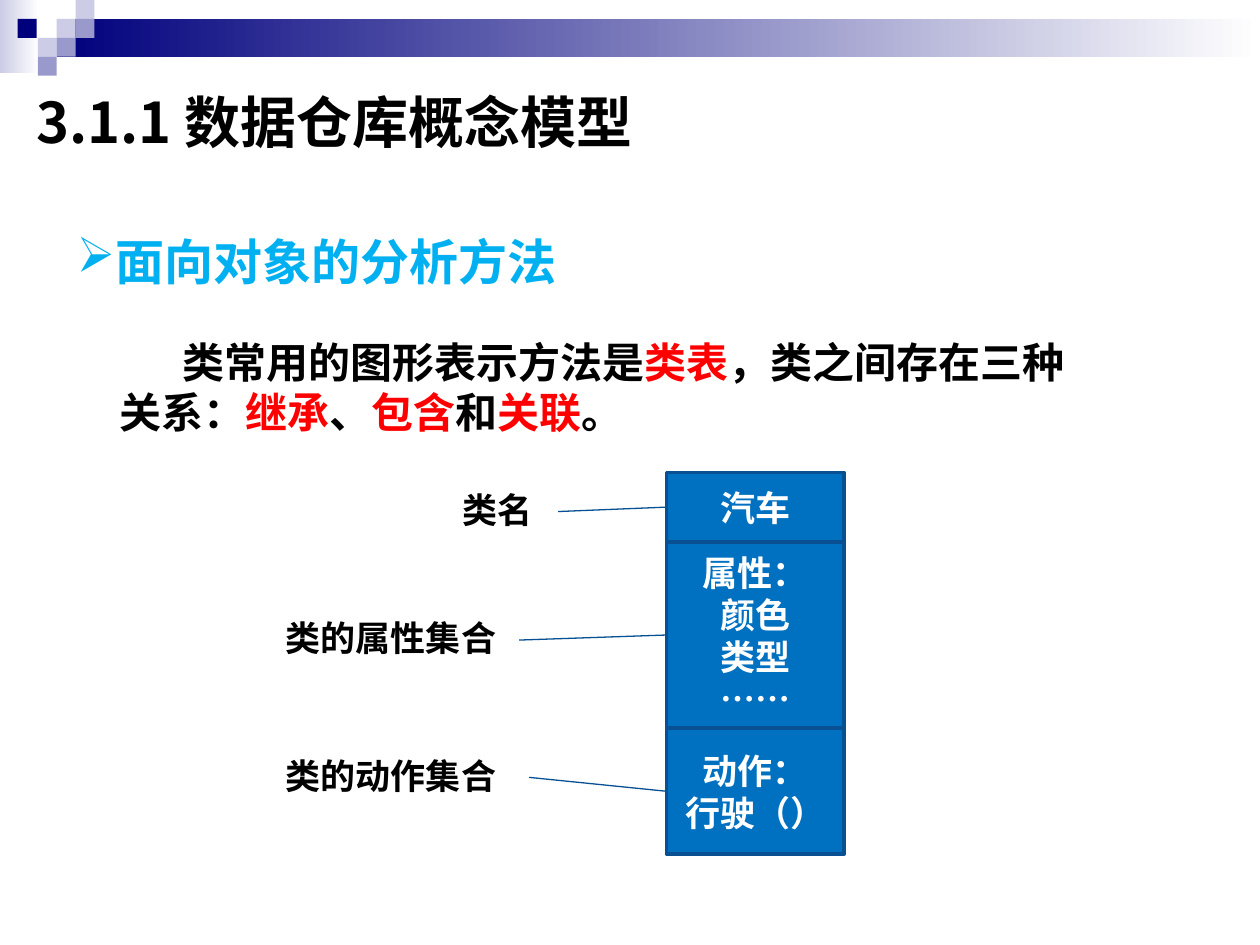
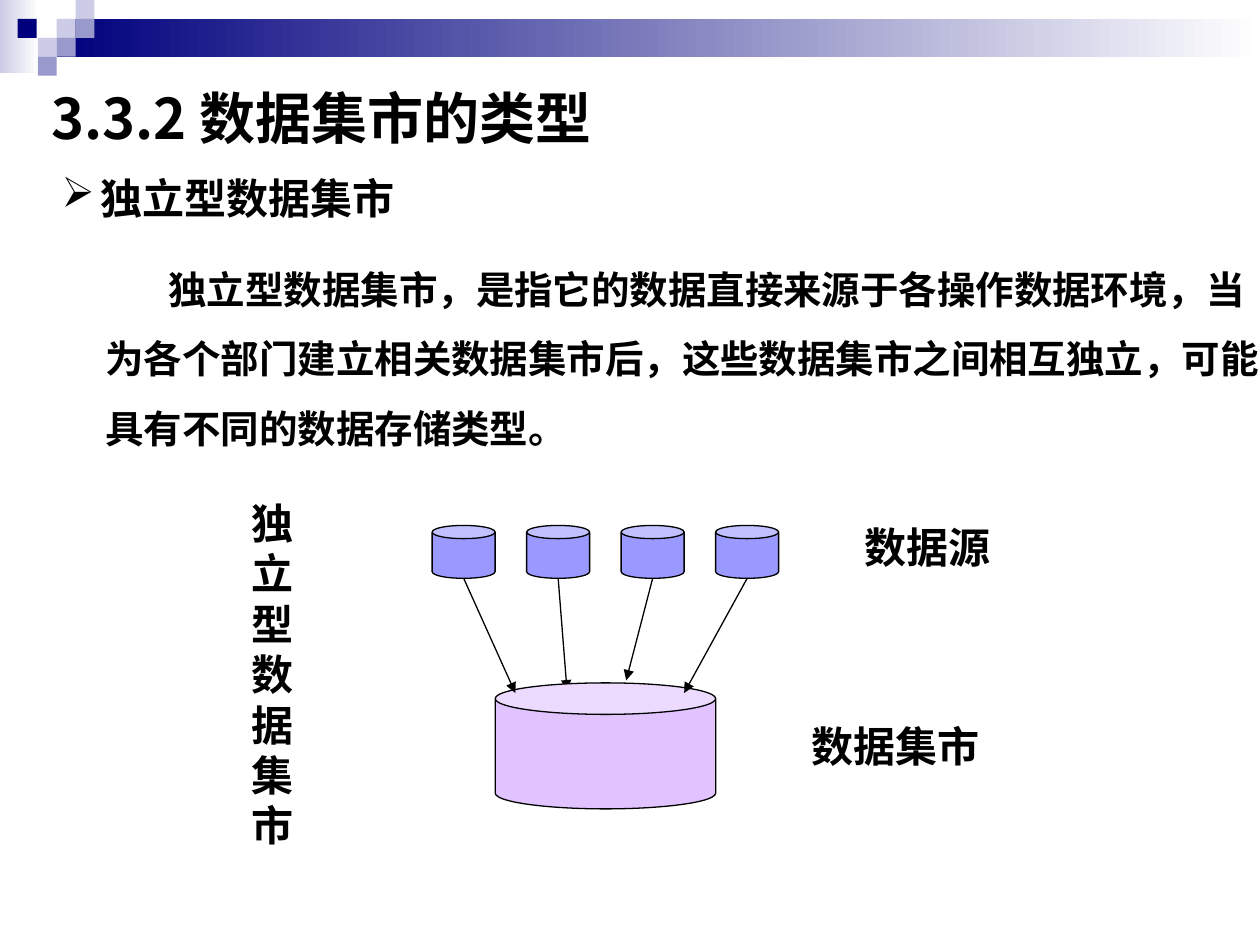
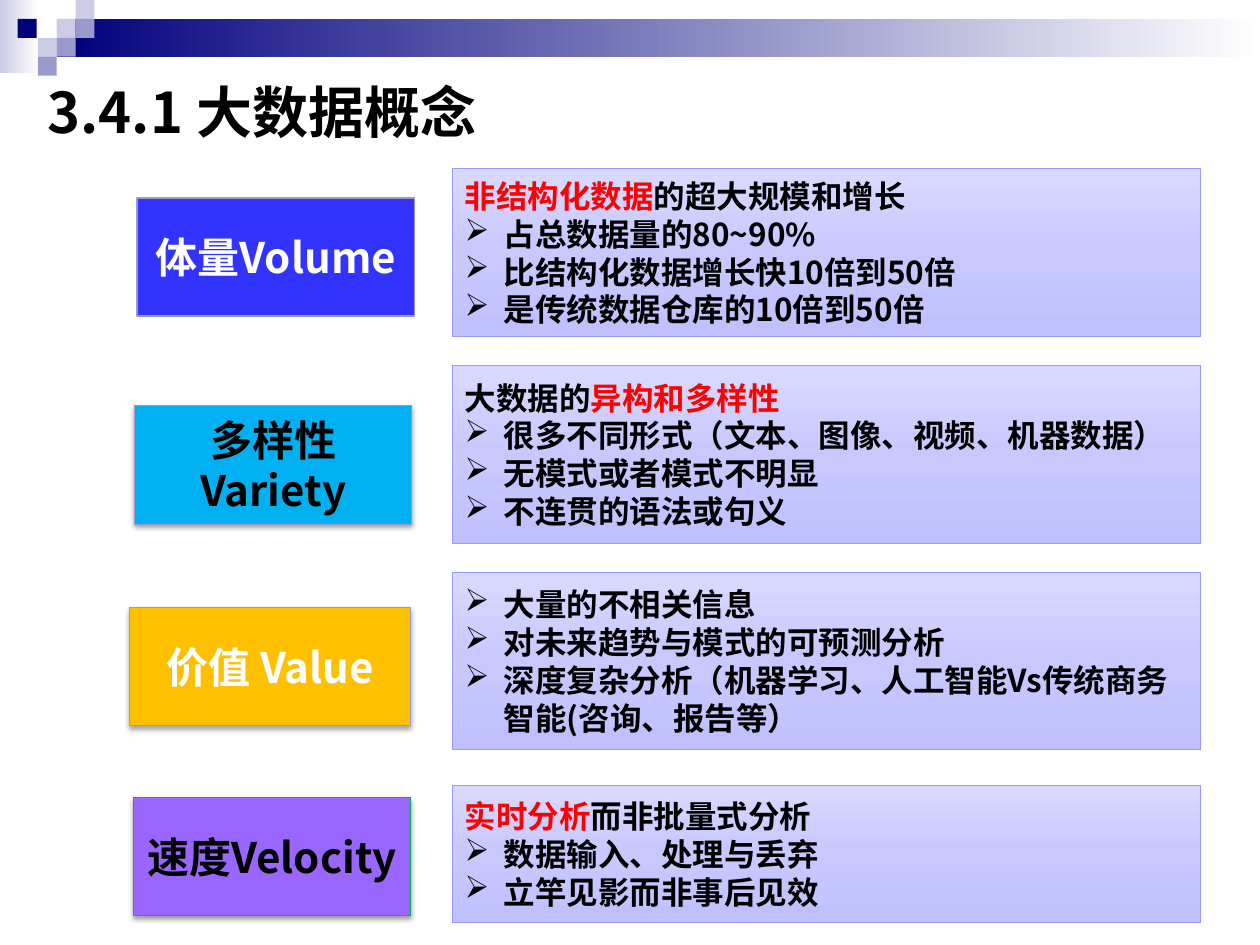
from copy import deepcopy
from lxml import etree
from pptx import Presentation
from pptx import util as u
from pptx.dml.color import RGBColor
from pptx.enum import shapes, text
from pptx.oxml.ns import qn

PX = 9144  # 100 px to the inch
FACE = "Noto Sans CJK SC"
HUE = {
    "black": "000000", "white": "FFFFFF", "red": "FF0000",
    "navy": "00007D", "mist": "CCCCE6", "slate": "9999CC",
    "blue": "0070C0", "edge": "085091", "wire": "065093", "sky": "00B0F0",
    "lilac": "9999FF", "mauve": "E1C3FF",
    "royal": "3333FF", "gold": "FFC000", "violet": "9966FF", "green": "00B050",
    "pale": "D9D9FF", "mid": "C8C8FF", "deep": "C0C0FF",
}
RGB = {name: RGBColor.from_string(code) for name, code in HUE.items()}
RECT, CAN = shapes.MSO_SHAPE.RECTANGLE, shapes.MSO_SHAPE.CAN


def box(page, at, paras=(), kind=None, fill=None, angle=0, edge=None, thick=0.75,
        size=24, ink="black", mid=False, center=False, wrap=True, dent=0, lead=None):
    """Add a shape, or a text box if kind is None; *stars* mark red words."""
    at = [n * PX for n in at]
    if kind is None:
        shp = page.shapes.add_textbox(*at)
    else:
        shp = page.shapes.add_shape(kind, *at)
        shp.shadow.inherit = False
        if isinstance(fill, list):
            shp.fill.gradient()
            shp.fill.gradient_angle = angle
            stops = shp._element.spPr.find(".//" + qn("a:gsLst"))
            for _ in fill[2:]:
                stops.append(deepcopy(stops[0]))
            for i, stop in enumerate(shp.fill.gradient_stops):
                stop.position = i / (len(fill) - 1)
                stop.color.rgb = RGB[fill[i]]
        else:
            shp.fill.solid()
            shp.fill.fore_color.rgb = RGB[fill]
        if edge:
            shp.line.color.rgb = RGB[edge]
            shp.line.width = u.Pt(thick)
        else:
            shp.line.fill.background()
    if not paras:
        return shp

    frame = shp.text_frame
    frame.word_wrap = wrap
    frame.vertical_anchor = text.MSO_ANCHOR.MIDDLE if mid else text.MSO_ANCHOR.TOP
    if kind is None and not mid:
        frame.auto_size = text.MSO_AUTO_SIZE.SHAPE_TO_FIT_TEXT
    for i, words in enumerate(paras):
        para = frame.paragraphs[0] if i == 0 else frame.add_paragraph()
        para.alignment = text.PP_ALIGN.CENTER if center else text.PP_ALIGN.LEFT
        if lead:
            para.line_spacing = lead
        props = para._p.get_or_add_pPr()
        if words[0] == "➢":
            props.set("marL", str(31 * PX))
            props.set("indent", str(-31 * PX))
            etree.SubElement(props, qn("a:buChar")).set("char", "➢")
            words = words[1:]
        elif dent:
            props.set("indent", str(dent * PX))
        for k, part in enumerate(words.split("*")):
            if part:
                run = para.add_run()
                run.text = part
                run.font.size, run.font.bold = u.Pt(size), True
                run.font.color.rgb = RGB["red" if k % 2 else ink]
                run.font.name = FACE
                east = etree.SubElement(run._r.get_or_add_rPr(), qn("a:ea"))
                east.set("typeface", FACE)
    return shp


def wire(page, start, end, ink, head=False):
    """Draw a thin straight line, with an arrowhead at its end if asked."""
    line = page.shapes.add_connector(shapes.MSO_CONNECTOR.STRAIGHT,
                                     *[n * PX for n in start + end])
    line.line.color.rgb = RGB[ink]
    line.line.width = u.Pt(0.75)
    if head:
        etree.SubElement(line.line._get_or_add_ln(), qn("a:tailEnd")).set("type", "triangle")
    etree.SubElement(line._element.spPr, qn("a:effectLst"))
    return line


deck = Presentation()
deck.slide_width, deck.slide_height = 1000 * PX, 750 * PX

# Shared band, squares and title
TILES = [(45, 15, "mist"), (60, 0, "mist"), (60, 15, "slate"), (30, 30, "mist"),
         (14, 15, "navy"), (45, 30, "slate"), (30, 45, "slate")]
TITLES = [("3.1.1 数据仓库概念模型", (19, 63, 934, 66)),
          ("3.3.2 数据集市的类型", (31, 60, 934, 66)),
          ("3.4.1 大数据概念", (28, 56, 381, 64))]
pages = []
for title, at in TITLES:
    page = deck.slides.add_slide(deck.slide_layouts[6])
    box(page, (0, 0, 31, 58), kind=RECT, fill=["mist", "white"])
    box(page, (45, 15, 955, 30), kind=RECT, fill=["navy", "white"])
    for x, y, hue in TILES:
        box(page, (x, y, 15, 15), kind=RECT, fill=hue)
    box(page, at, [title], size=32, mid=True)
    pages.append(page)
model, mart, big = pages

# Slide 1: class table with its labels
box(model, (51, 179, 407, 57), ["➢面向对象的分析方法"], size=28, ink="sky", wrap=False)
box(model, (85, 262, 793, 91),
    ["类常用的图形表示方法是*类表*，类之间存在三种关系：*继承*、*包含*和*关联*。"], dent=50)
PARTS = [
    (375, 55, ["汽车"], "类名", (357, 383, 77, 44), (443, 406)),
    (430, 148, ["属性：", "颜色", "类型", "……"], "类的属性集合", (217, 484, 190, 44), (412, 508)),
    (578, 100, ["动作：", "行驶（）"], "类的动作集合", (217, 594, 190, 44), (420, 617)),
]
for top, high, rows, label, at, end in PARTS:
    cell = box(model, (529, top, 141, high), rows, RECT, "blue", edge="edge", thick=2,
               size=20, ink="white", mid=True, center=True)
    wire(model, (529, top + high // 2), end, "wire").begin_connect(cell, 1)
    box(model, at, [label], size=20, wrap=False)

# Slide 2: sources feeding one data mart
box(mart, (39, 132, 289, 50), ["➢独立型数据集市"], wrap=False)
box(mart, (74, 188, 937, 162),
    ["独立型数据集市，是指它的数据直接来源于各操作数据环境，当为各个部门建立相关数据集市后，"
     "这些数据集市之间相互独立，可能具有不同的数据存储类型。"], size=22, dent=50, lead=1.5)
for label, at in [("独立型数据集市", (190, 390, 67, 293)),
                  ("数据源", (676, 409, 192, 50)),
                  ("数据集市", (634, 567, 192, 50))]:
    box(mart, at, [label])
for i in range(4):
    box(mart, (343 + 75 * i, 417, 50, 42), kind=CAN, fill="lilac", edge="black")
TIPS = [(409, 550), (450, 548), (497, 540), (543, 550)]
for i in (1, 2, 0, 3):
    if i == 0:  # the outer arrows lie over the mart
        box(mart, (393, 542, 175, 100), kind=CAN, fill="mauve", edge="black")
    wire(mart, (368 + 75 * i, 459), TIPS[i], "black", head=True)

# Slide 3: the four Vs, each tag with its notes
TAGS = [
    ("体量Volume", (109, 157, 220, 94), "royal", "slate", "white", 0, 134, 133,
     ["*非结构化数据*的超大规模和增长", "➢占总数据量的80~90%",
      "➢比结构化数据增长快10倍到50倍", "➢是传统数据仓库的10倍到50倍"]),
    ("多样性Variety", (107, 322, 220, 94), "sky", "slate", "black", 38, 290, 141,
     ["大数据的*异构和多样性*", "➢很多不同形式（文本、图像、视频、机器数据）",
      "➢无模式或者模式不明显", "➢不连贯的语法或句义"]),
    ("价值 Value", (103, 482, 223, 94), "gold", "slate", "white", 35, 454, 141,
     ["➢大量的不相关信息", "➢对未来趋势与模式的可预测分析",
      "➢深度复杂分析（机器学习、人工智能Vs传统商务智能(咨询、报告等）"]),
    ("速度Velocity", (106, 633, 220, 94), "violet", "green", "black", 38, 623, 109,
     ["*实时分析*而非批量式分析", "➢数据输入、处理与丢弃", "➢立竿见影而非事后见效"]),
]
for name, at, fill, edge, ink, shade, top, high, notes in TAGS:
    tag = box(big, at, [name], RECT, fill, edge=edge, thick=0.5 if shade else 1,
              ink=ink, mid=True, center=True)
    if shade:
        drop = etree.SubElement(tag._element.spPr.find(qn("a:effectLst")), qn("a:outerShdw"),
                                blurRad=str(u.Pt(3.1)), dist=str(u.Pt(1.6)),
                                dir="5400000", rotWithShape="0")
        tone = etree.SubElement(drop, qn("a:srgbClr"), val=HUE["black"])
        etree.SubElement(tone, qn("a:alpha"), val=str(shade * 1000))
    box(big, (359, top, 594, high), notes, RECT, ["pale", "mid", "deep"], angle=270,
        edge="lilac", thick=0.5, size=18, mid=True)

deck.save("out.pptx")
